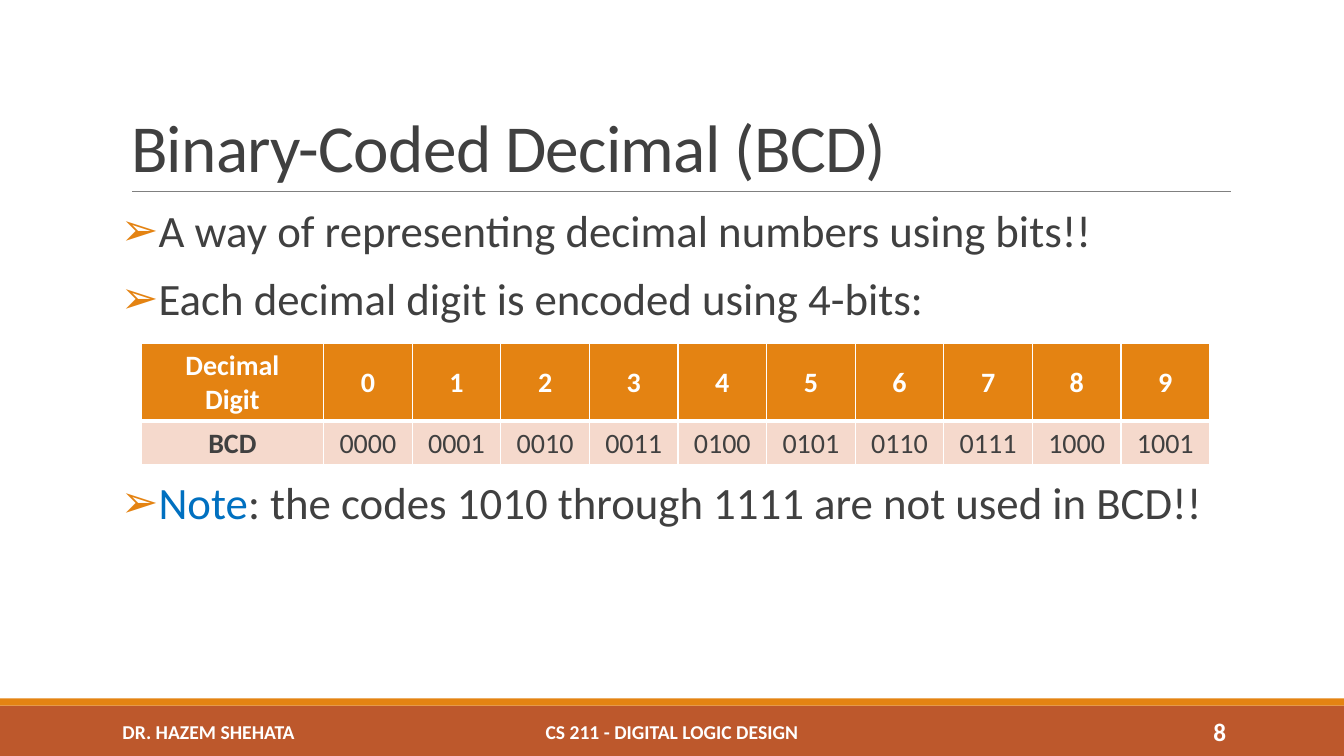
import pptx
import pptx.util
import pptx.dml.color
import pptx.enum.shapes
import pptx.enum.text
import pptx.oxml.ns
import lxml.etree

Inches = pptx.util.Inches
RGBColor = pptx.dml.color.RGBColor
ALIGN = pptx.enum.text.PP_ALIGN
ANCHOR = pptx.enum.text.MSO_ANCHOR
qn = pptx.oxml.ns.qn

FONT = "Calibri"
WHITE = RGBColor(0xFF, 0xFF, 0xFF)
DARK = RGBColor(0x40, 0x40, 0x40)
GRAY = RGBColor(0x80, 0x80, 0x80)
ORANGE = RGBColor(0xE4, 0x83, 0x12)
RUST = RGBColor(0xBD, 0x58, 0x2C)
PEACH = RGBColor(0xF5, 0xD9, 0xCC)
BLUE = RGBColor(0x00, 0x70, 0xC0)


def add_run(p, text, size=20, color=DARK, bold=False, align=None):
    """Add formatted text to a paragraph and return its run."""
    r = p.add_run()
    r.text = text
    r.font.name = FONT
    r.font.size = pptx.util.Pt(size)
    r.font.color.rgb = color
    r.font.bold = bold
    if align is not None:
        p.alignment = align
    return r


def place(sp, x, y, w, h):
    """Move a shape to a box given in inches."""
    sp.left, sp.top, sp.width, sp.height = map(Inches, (x, y, w, h))


def add_bar(s, x, y, w, h, color):
    """Draw a plain filled rectangle."""
    sp = s.shapes.add_shape(pptx.enum.shapes.MSO_SHAPE.RECTANGLE,
                            *map(Inches, (x, y, w, h)))
    sp.shadow.inherit = False
    sp.fill.solid()
    sp.fill.fore_color.rgb = color
    sp.line.fill.background()


def add_title(s, x, y, w, h, text):
    """Fill the title placeholder and rule a line under it."""
    sp = s.shapes.title
    place(sp, x, y, w, h)
    tf = sp.text_frame
    tf.auto_size = pptx.enum.text.MSO_AUTO_SIZE.NONE
    tf.vertical_anchor = ANCHOR.BOTTOM
    p = tf.paragraphs[0]
    p.line_spacing = 0.85
    r = add_run(p, text, size=48, align=ALIGN.LEFT)
    r.font._element.set("spc", "-50")
    line = s.shapes.add_connector(
        pptx.enum.shapes.MSO_CONNECTOR.STRAIGHT, Inches(x + 0.11),
        Inches(y + h), Inches(x + w + 0.01), Inches(y + h))
    line.line.color.rgb = GRAY
    line.line.width = pptx.util.Pt(0.5)
    lxml.etree.SubElement(line._element.spPr, qn("a:effectLst"))


def add_bullet(p):
    """Give a paragraph an orange arrow bullet with a hanging indent."""
    pPr = p._p.get_or_add_pPr()
    pPr.set("marL", str(Inches(0.1)))
    pPr.set("indent", str(Inches(-0.1)))
    clr = lxml.etree.SubElement(pPr, qn("a:buClr"))
    lxml.etree.SubElement(clr, qn("a:srgbClr"), val=str(ORANGE))
    lxml.etree.SubElement(pPr, qn("a:buChar"), char="➢")


def add_body(s, x, y, w, h, items):
    """Fill the body placeholder with (space before, runs) items."""
    sp = s.placeholders[1]
    place(sp, x, y, w, h)
    tf = sp.text_frame
    tf.auto_size = pptx.enum.text.MSO_AUTO_SIZE.NONE
    tf.vertical_anchor = ANCHOR.TOP
    tf.margin_left = tf.margin_right = 0
    for i, (before, runs) in enumerate(items):
        p = tf.add_paragraph() if i else tf.paragraphs[0]
        p.line_spacing = 0.9
        p.space_before = pptx.util.Pt(before)
        p.space_after = pptx.util.Pt(2)
        add_bullet(p)
        for text, color in runs:
            add_run(p, text, size=32, color=color, align=ALIGN.LEFT)


def set_borders(cell, bottom):
    """Give a cell white borders with the given bottom width in points."""
    tcPr = cell._tc.get_or_add_tcPr()
    for side, width in (("L", 1), ("R", 1), ("T", 1), ("B", bottom)):
        ln = lxml.etree.SubElement(tcPr, qn("a:ln" + side),
                                   w=str(pptx.util.Pt(width)))
        fill = lxml.etree.SubElement(ln, qn("a:solidFill"))
        lxml.etree.SubElement(fill, qn("a:srgbClr"), val=str(WHITE))


def add_code_table(s, x, y, w, h):
    """Tabulate the ten decimal digits with their 4-bit codes."""
    rows = [["Decimal\nDigit"] + [str(d) for d in range(10)],
            ["BCD"] + [f"{d:04b}" for d in range(10)]]
    label_w, head_h = 1.81, 0.77
    tbl = s.shapes.add_table(2, 11, *map(Inches, (x, y, w, h))).table
    tbl.horz_banding = False
    for j, col in enumerate(tbl.columns):
        col.width = Inches((w - label_w) / 10 if j else label_w)
    for i, row in enumerate(rows):
        tbl.rows[i].height = Inches(h - head_h if i else head_h)
        for j, text in enumerate(row):
            cell = tbl.cell(i, j)
            cell.vertical_anchor = ANCHOR.MIDDLE
            set_borders(cell, 1 if i else 3)
            cell.fill.solid()
            cell.fill.fore_color.rgb = PEACH if i else ORANGE
            for k, part in enumerate(text.split("\n")):
                tf = cell.text_frame
                p = tf.add_paragraph() if k else tf.paragraphs[0]
                add_run(p, part, color=DARK if i else WHITE,
                        bold=i == 0 or j == 0, align=ALIGN.CENTER)


def add_footer(s, x, y, w, h):
    """Draw the footer bands with author, course and slide number."""
    add_bar(s, x, y + 0.07, w, h - 0.07, RUST)
    add_bar(s, x, y, w, 0.07, ORANGE)
    for dx, width, text, size, align in (
            (0.24, 3.66, "DR. HAZEM SHEHATA", 14, ALIGN.CENTER),
            (4.03, 5.27, "CS 211 - DIGITAL LOGIC DESIGN", 14, ALIGN.CENTER),
            (10.83, 1.43, "8", 18, ALIGN.RIGHT)):
        sp = s.shapes.add_textbox(*map(Inches, (x + dx, y + 0.13, width, 0.4)))
        tf = sp.text_frame
        tf.word_wrap = True
        tf.vertical_anchor = ANCHOR.MIDDLE
        add_run(tf.paragraphs[0], text, size=size, color=WHITE, bold=True,
                align=align)


def main():
    """Build the slide and save it."""
    prs = pptx.Presentation()
    prs.slide_width, prs.slide_height = Inches(13.33), Inches(7.5)
    s = prs.slides.add_slide(prs.slide_layouts[1])
    add_footer(s, 0, 6.93, 13.33, 0.57)
    add_title(s, 1.2, 0.31, 11, 1.59, "Binary-Coded Decimal (BCD)")
    add_body(s, 1.2, 2.02, 11, 4.4, [
        (12, [("A way of representing decimal numbers using bits!!", DARK)]),
        (12, [("Each decimal digit is encoded using 4-bits:", DARK)]),
        (109, [("Note", BLUE),
               (": the codes 1010 through 1111 are not used in BCD!!", DARK)]),
    ])
    add_code_table(s, 1.4, 3.41, 10.6, 1.2)
    prs.save("out.pptx")


if __name__ == "__main__":
    main()
